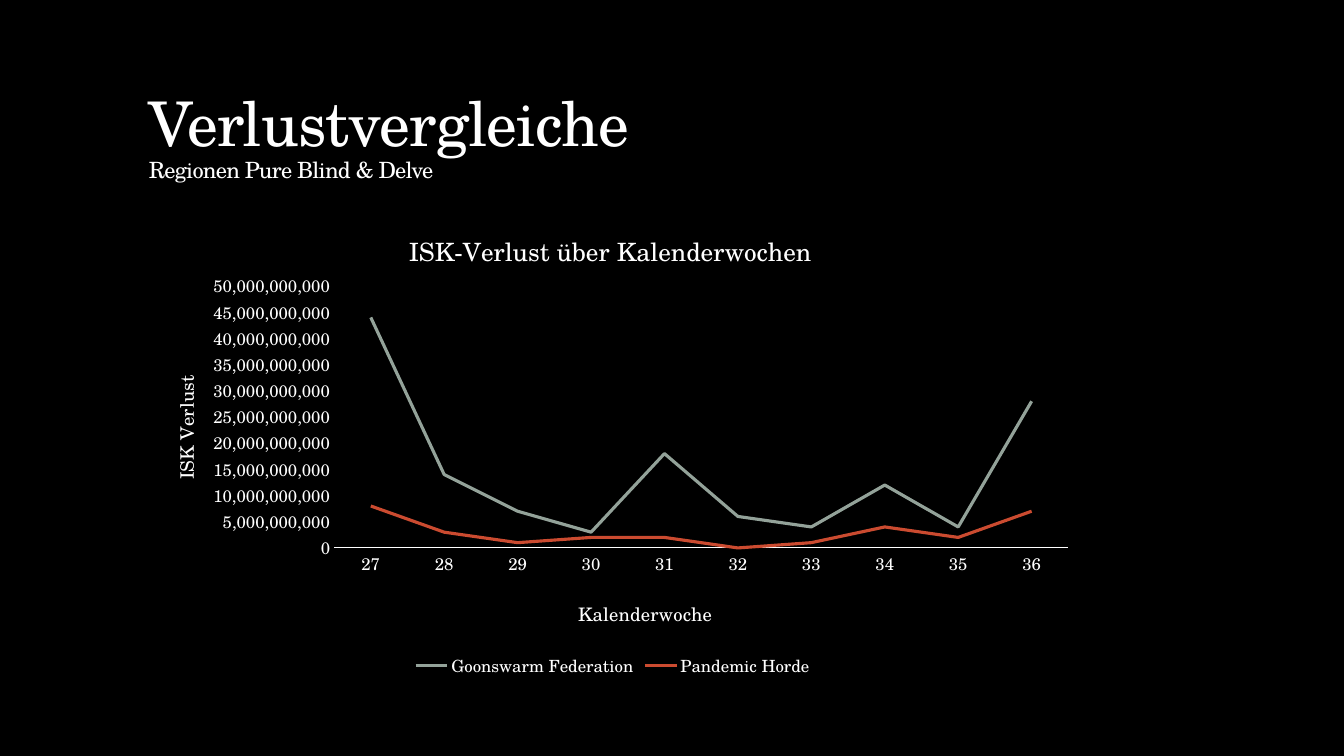
from dataclasses import dataclass

from lxml.etree import SubElement
from pptx import Presentation
from pptx.chart.data import CategoryChartData
from pptx.dml.color import RGBColor
from pptx.enum.chart import XL_CHART_TYPE, XL_LEGEND_POSITION, XL_TICK_MARK
from pptx.enum.text import MSO_ANCHOR
from pptx.oxml.ns import qn
from pptx.util import Cm, Pt


@dataclass(frozen=True)
class Theme:
    face: str = "TeX Gyre Schola"
    back: RGBColor = RGBColor(0, 0, 0)
    text: RGBColor = RGBColor(255, 255, 255)
    lines: tuple = (RGBColor(0x93, 0xA2, 0x99), RGBColor(0xCB, 0x4B, 0x30))
    head: float = 44
    sub: float = 16
    title: float = 18
    axis: float = 13.3
    label: float = 12


THEME = Theme()
LEFT = Cm(3.5)
WEEKS = [str(week) for week in range(27, 37)]
BILLION = 10**9
LOSSES = {  # in billions of ISK
    "Goonswarm Federation": (44, 14, 7, 3, 18, 6, 4, 12, 4, 28),
    "Pandemic Horde": (8, 3, 1, 2, 2, 0, 1, 4, 2, 7),
}


def style(font, size):
    font.name = THEME.face
    font.size = Pt(size)
    font.bold = False
    font.color.rgb = THEME.text


def place(part, **spots):
    """Give a chart part a fixed place, in shares of the chart."""
    layout = part.find(qn("c:layout"))
    if layout is None:
        layout = SubElement(part, qn("c:layout"))
        text = part.find(qn("c:tx"))
        if text is not None:
            text.addnext(layout)
        else:
            part.insert(0, layout)
    for child in list(layout):
        layout.remove(child)
    manual = SubElement(layout, qn("c:manualLayout"))
    if "w" in spots:
        SubElement(manual, qn("c:layoutTarget")).set("val", "inner")
    for key in ("x", "y"):
        SubElement(manual, qn(f"c:{key}Mode")).set("val", "edge")
    for key, share in spots.items():
        SubElement(manual, qn(f"c:{key}")).set("val", str(share))


def add_head(slide, lines):
    box = slide.shapes.add_textbox(LEFT, Cm(1.07), Cm(28), Cm(3.68))
    frame = box.text_frame
    frame.word_wrap = True
    frame.vertical_anchor = MSO_ANCHOR.BOTTOM
    frame.text = "\v".join(lines)
    par = frame.paragraphs[0]
    par.line_spacing = 0.9
    for run, size in zip(par.runs, (THEME.head, THEME.sub)):
        style(run.font, size)
        run.font._element.set("spc", "-50")


def add_title(owner, text, size, x, y):
    """Title a chart or one of its axes."""
    owner.has_title = True
    title = getattr(owner, "chart_title", None) or owner.axis_title
    title.text_frame.text = text
    style(title.text_frame.paragraphs[0].runs[0].font, size)
    place(title._element, x=x, y=y)


def style_axis(axis):
    axis.has_major_gridlines = False
    axis.major_tick_mark = axis.minor_tick_mark = XL_TICK_MARK.NONE
    style(axis.tick_labels.font, THEME.label)


def add_lines(slide):
    data = CategoryChartData(number_format="#,##0")
    data.categories = WEEKS
    for name, sums in LOSSES.items():
        data.add_series(name, [value * BILLION for value in sums])
    frame = slide.shapes.add_chart(
        XL_CHART_TYPE.LINE, LEFT, Cm(5.08), Cm(23.88), Cm(12.09), data)
    chart = frame.chart
    style(chart.font, THEME.label)

    # Plot and series
    plot = chart.plots[0]
    plot.vary_by_categories = False
    for line, tint in zip(plot.series, THEME.lines):
        line.smooth = False
        line.format.line.color.rgb = tint
        line.format.line.width = Pt(2.25)
    place(chart._chartSpace.chart.plotArea, x=0.206, y=0.176, w=0.775, h=0.546)

    # Axes
    weeks, loss = chart.category_axis, chart.value_axis
    for axis in (weeks, loss):
        style_axis(axis)
    weeks.format.line.color.rgb = THEME.text
    weeks.format.line.width = Pt(0.75)
    loss.format.line.fill.background()
    loss.minimum_scale = 0
    loss.maximum_scale = 50 * BILLION
    loss.major_unit = 5 * BILLION
    loss.tick_labels.number_format = "#,##0"
    loss.tick_labels.number_format_is_linked = False

    # Titles and legend
    add_title(chart, "ISK-Verlust über Kalenderwochen", THEME.title, 0.28, 0.05)
    add_title(weeks, "Kalenderwoche", THEME.axis, 0.46, 0.82)
    add_title(loss, "ISK Verlust", THEME.axis, 0.03, 0.355)
    chart.has_legend = True
    chart.legend.position = XL_LEGEND_POSITION.BOTTOM
    chart.legend.include_in_layout = False
    style(chart.legend.font, THEME.label)


def main():
    deck = Presentation()
    deck.slide_width, deck.slide_height = Cm(33.87), Cm(19.05)
    slide = deck.slides.add_slide(deck.slide_layouts[6])
    slide.background.fill.solid()
    slide.background.fill.fore_color.rgb = THEME.back
    add_head(slide, ("Verlustvergleiche", "Regionen Pure Blind & Delve"))
    add_lines(slide)
    deck.save("out.pptx")


if __name__ == "__main__":
    main()
